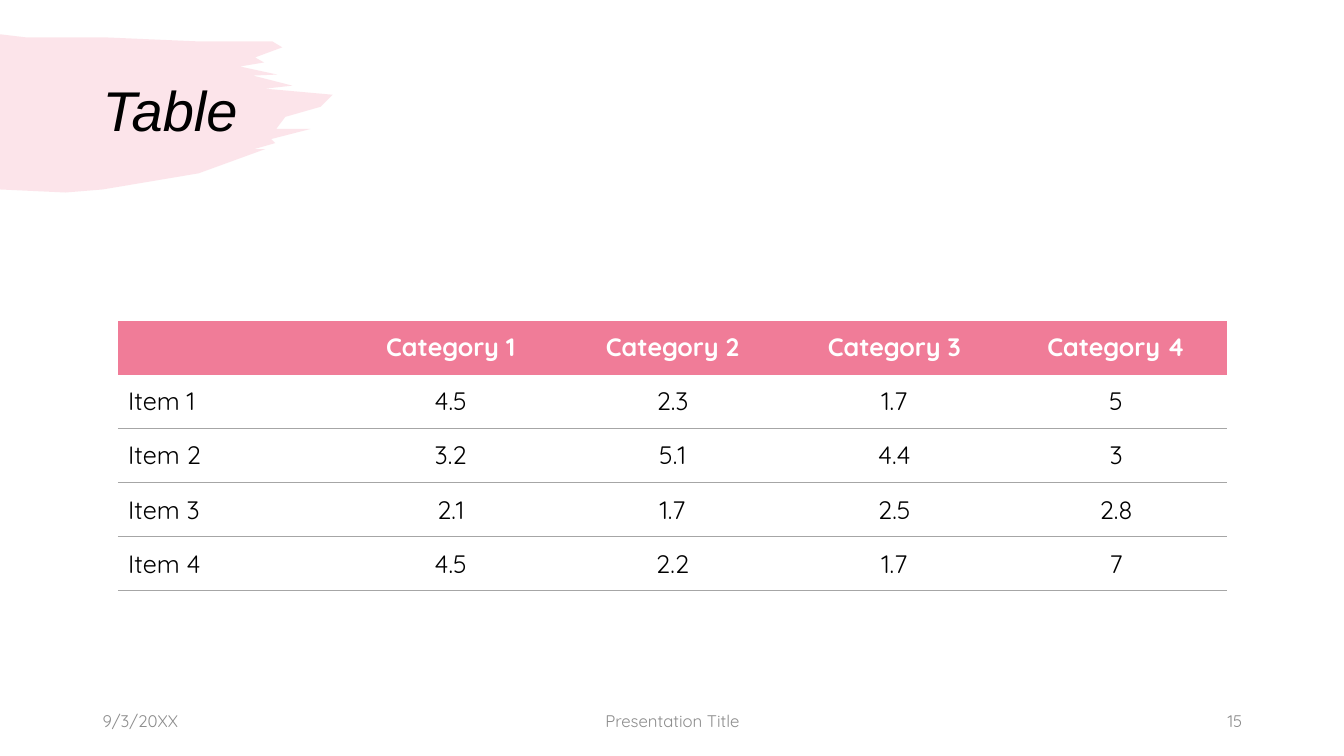
import pptx
import pptx.dml.color
import pptx.enum.text
import pptx.oxml
import pptx.oxml.ns
import pptx.util
from dataclasses import dataclass

PX = 9144  # EMU in one px, at 100 px to the inch
ALIGN = pptx.enum.text.PP_ALIGN
MIDDLE = pptx.enum.text.MSO_ANCHOR.MIDDLE
rgb = pptx.dml.color.RGBColor.from_string


@dataclass(frozen=True)
class Theme:
    pink: str = "F07C98"
    black: str = "000000"
    white: str = "FFFFFF"
    footer_gray: str = "8C8C8C"
    rule_gray: str = "A6A6A6"
    title_font: str = "Arial"
    body_font: str = "Quicksand"
    title_size: int = 40
    table_size: int = 18
    footer_size: int = 12


theme = Theme()


def style(paragraph, font_name, size, color, align=ALIGN.LEFT):
    paragraph.alignment = align
    font = paragraph.font
    font.name = font_name
    font.size = pptx.util.Pt(size)
    font.color.rgb = rgb(color)


def add_label(slide, text, left, top, width, height):
    label = slide.shapes.add_textbox(left * PX, top * PX, width * PX, height * PX)
    label.text_frame.word_wrap = True
    label.text_frame.vertical_anchor = MIDDLE
    paragraph = label.text_frame.paragraphs[0]
    paragraph.text = text
    return paragraph


presentation = pptx.Presentation()
presentation.slide_width = 1333 * PX
presentation.slide_height = 750 * PX
slide = presentation.slides.add_slide(presentation.slide_layouts[6])

# Brush stroke: top edge, ragged tip, bottom edge
brush_outline = [
    (0, 34), (25, 37), (102, 37), (194, 41), (270, 41), (280, 47),
    (253, 57), (262, 62), (238, 66), (275, 74), (251, 75), (290, 85),
    (263, 88), (330, 94), (318, 106), (283, 116), (274, 128), (308, 128),
    (269, 138), (273, 142), (252, 148), (263, 148), (197, 172),
    (102, 188), (65, 191), (0, 188),
]
builder = slide.shapes.build_freeform(*brush_outline[0], scale=PX)
builder.add_line_segments(brush_outline[1:], close=True)
brush = builder.convert_to_shape()
brush.shadow.inherit = False
brush.line.fill.background()
brush.fill.solid()
brush.fill.fore_color.rgb = rgb(theme.pink)
brush_color = brush._element.spPr.find(".//" + pptx.oxml.ns.qn("a:srgbClr"))
brush_color.append(pptx.oxml.parse_xml(
    f'<a:alpha {pptx.oxml.ns.nsdecls("a")} val="20000"/>'))

# Title
title = add_label(slide, "Table", 92, 40, 1150, 145)
style(title, theme.title_font, theme.title_size, theme.black)
title.font.italic = True
title.line_spacing = 0.9

# Table
rows = [
    ["", "Category 1", "Category 2", "Category 3", "Category 4"],
    ["Item 1", "4.5", "2.3", "1.7", "5"],
    ["Item 2", "3.2", "5.1", "4.4", "3"],
    ["Item 3", "2.1", "1.7", "2.5", "2.8"],
    ["Item 4", "4.5", "2.2", "1.7", "7"],
]
NO_STYLE = "{2D5ABB26-0587-4C30-8999-92F81FD0307C}"
row_rule = (
    f'<a:lnB {pptx.oxml.ns.nsdecls("a")} w="{pptx.util.Pt(0.25)}">'
    f'<a:solidFill><a:srgbClr val="{theme.rule_gray}"/></a:solidFill></a:lnB>'
)
items = slide.shapes.add_table(
    len(rows), len(rows[0]), 117 * PX, 318 * PX, 1100 * PX, 268 * PX).table
items.horz_banding = False
items._tbl.tblPr.find(pptx.oxml.ns.qn("a:tableStyleId")).text = NO_STYLE

for row_index, values in enumerate(rows):
    is_header = row_index == 0
    for column_index, value in enumerate(values):
        cell = items.cell(row_index, column_index)
        cell.text = value
        cell.vertical_anchor = MIDDLE
        paragraph = cell.text_frame.paragraphs[0]
        style(paragraph, theme.body_font, theme.table_size,
              theme.white if is_header else theme.black,
              ALIGN.CENTER if column_index else ALIGN.LEFT)
        paragraph.font.bold = is_header
        if is_header:
            cell.fill.solid()
            cell.fill.fore_color.rgb = rgb(theme.pink)
        else:
            cell.fill.background()
            cell._tc.get_or_add_tcPr().insert(0, pptx.oxml.parse_xml(row_rule))

# Footer
for text, left, width, align in [
    ("9/3/20XX", 92, 300, ALIGN.LEFT),
    ("Presentation Title", 442, 450, ALIGN.CENTER),
    ("15", 942, 300, ALIGN.RIGHT),
]:
    footer = add_label(slide, text, left, 695, width, 40)
    style(footer, theme.body_font, theme.footer_size, theme.footer_gray, align)

presentation.save("out.pptx")
